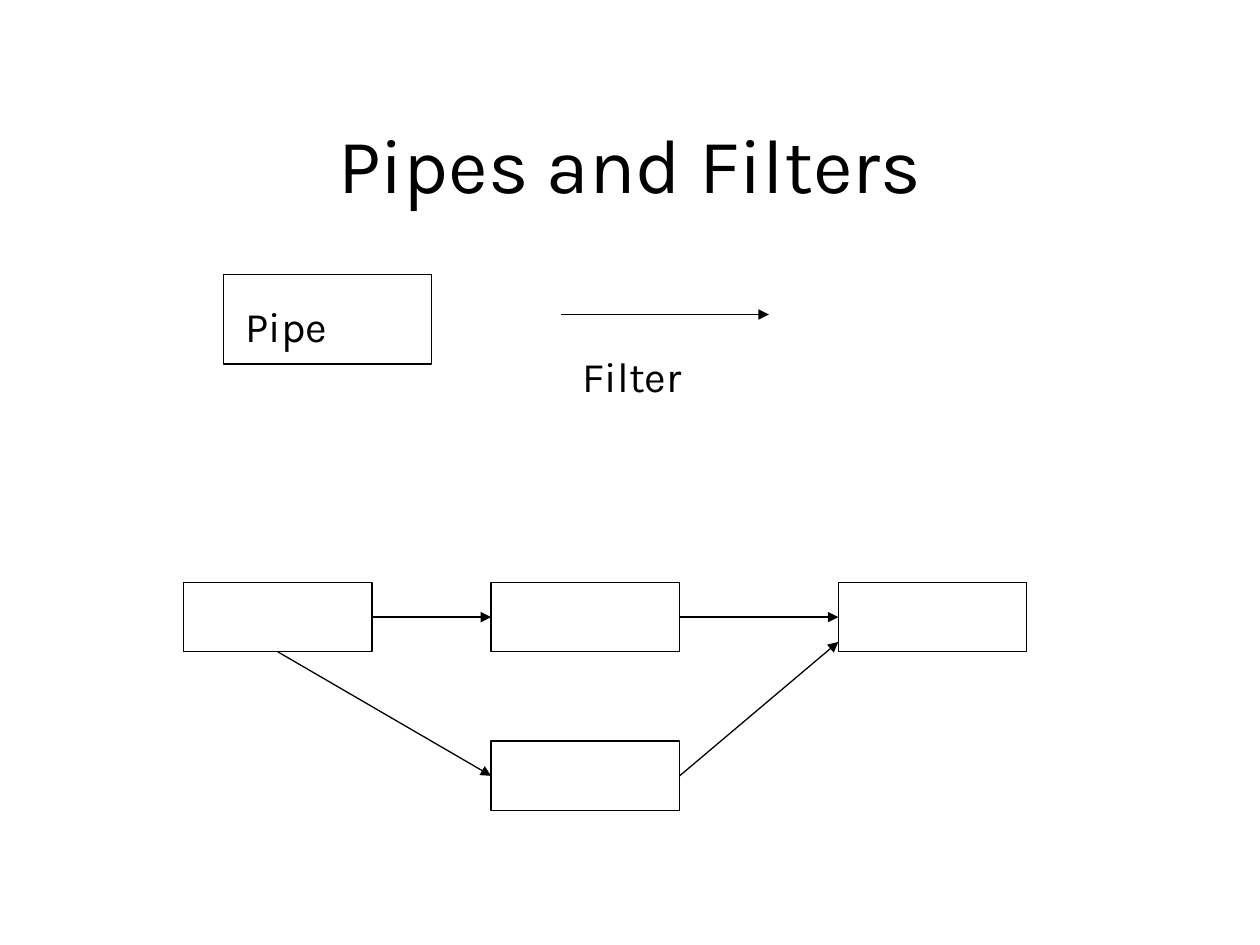
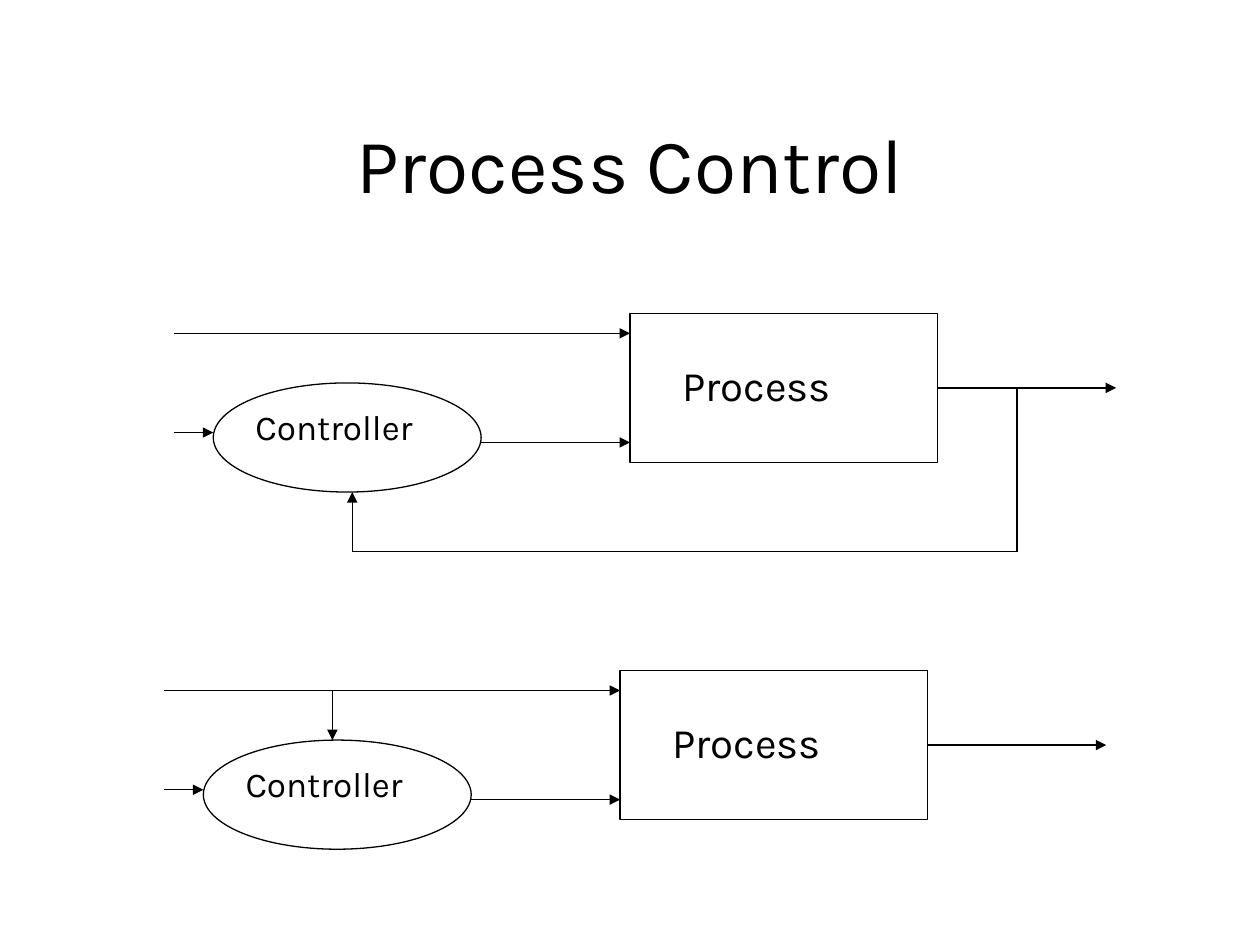
"""Build two architecture-style slides: pipes and filters, and process control."""
import dataclasses
import typing

import pptx
import pptx.dml.color
import pptx.enum.shapes
import pptx.enum.text
import pptx.oxml.ns
import pptx.util
from lxml import etree

RECT = pptx.enum.shapes.MSO_SHAPE.RECTANGLE
OVAL = pptx.enum.shapes.MSO_SHAPE.OVAL
ALIGN = pptx.enum.text.PP_ALIGN
ANCHOR = pptx.enum.text.MSO_ANCHOR
LEFT, BOTTOM, RIGHT = 1, 2, 3
COLUMNS = 127
SLIDE_W, SLIDE_H = pptx.util.Inches(10), pptx.util.Inches(7.5)


@dataclasses.dataclass(frozen=True)
class Theme:
    """Colours, font and sizes shared by the slides."""
    ink: pptx.dml.color.RGBColor = pptx.dml.color.RGBColor(0, 0, 0)
    font: str = "Karla"
    title: float = 44
    label: float = 24
    small: float = 20
    line: float = 0.75


THEME = Theme()


@dataclasses.dataclass
class Region:
    """A shape collection whose parts are placed from a grid origin."""
    shapes: typing.Any
    col: float
    row: float

    def at(self, col, row):
        """Return the slide position of a point of the region."""
        return cells(self.col + col), cells(self.row + row)


def cells(n):
    """Convert square grid cells to a length."""
    return round(n * SLIDE_W / COLUMNS)


def group(s, col, row):
    """Start a grouped region at a grid point."""
    return Region(s.shapes.add_group_shape().shapes, col, row)


def add_text(region, text, box, size=THEME.label, align=ALIGN.LEFT, anchor=ANCHOR.TOP):
    """Add a text box with one formatted run."""
    col, row, w, h = box
    tf = region.shapes.add_textbox(*region.at(col, row), cells(w), cells(h)).text_frame
    tf.word_wrap = True
    tf.vertical_anchor = anchor
    p = tf.paragraphs[0]
    p.alignment = align
    r = p.add_run()
    r.text = text
    r.font.name = THEME.font
    r.font.size = pptx.util.Pt(size)
    r.font.color.rgb = THEME.ink


def set_line(shape):
    """Give a shape or connector the thin theme outline."""
    shape.line.color.rgb = THEME.ink
    shape.line.width = pptx.util.Pt(THEME.line)


def add_outline(region, kind, box):
    """Add an unfilled outlined shape."""
    col, row, w, h = box
    sp = region.shapes.add_shape(kind, *region.at(col, row), cells(w), cells(h))
    sp.shadow.inherit = False
    sp.fill.background()
    set_line(sp)
    return sp


def add_line(region, start, end, head=True, source=None, target=None):
    """Add a line, with an arrowhead and joins to (shape, side) pairs if given."""
    cxn = region.shapes.add_connector(
        pptx.enum.shapes.MSO_CONNECTOR.STRAIGHT, *region.at(*start), *region.at(*end))
    set_line(cxn)
    if head:
        ln = cxn.line._get_or_add_ln()
        etree.SubElement(ln, pptx.oxml.ns.qn("a:tailEnd"), type="triangle")
    etree.SubElement(cxn._element.spPr, pptx.oxml.ns.qn("a:effectLst"))
    if source:
        cxn.begin_connect(*source)
    if target:
        cxn.end_connect(*target)


def new_slide(prs, title):
    """Add a blank slide with the shared title."""
    s = prs.slides.add_slide(prs.slide_layouts[6])
    add_text(Region(s.shapes, 9.5, 8.5), title, (0, 0, 108, 15.9), size=THEME.title,
             align=ALIGN.CENTER, anchor=ANCHOR.MIDDLE)
    return s


def draw_pipe_key(region):
    """Draw the boxed key entry."""
    add_outline(region, RECT, (0, 0, 21, 9))
    add_text(region, "Pipe", (1, 2, 19, 6.3))


def draw_filter_key(region):
    """Draw the arrow key entry."""
    add_line(region, (0, 0), (21, 0))
    add_text(region, "Filter", (1, 3, 21, 6.3))


def draw_network(region):
    """Draw four boxes joined by two routes."""
    w, h = 19, 7
    first, upper, last, lower = [
        add_outline(region, RECT, (col, row, w, h))
        for col, row in ((0, 0), (31, 0), (66, 0), (31, 16))]
    mid = h / 2
    add_line(region, (w, mid), (31, mid), source=(first, RIGHT), target=(upper, LEFT))
    add_line(region, (31 + w, mid), (66, mid), source=(upper, RIGHT), target=(last, LEFT))
    add_line(region, (w / 2, h), (31, 16 + mid), source=(first, BOTTOM), target=(lower, LEFT))
    add_line(region, (31 + w, 16 + mid), (66, 6), source=(lower, RIGHT))


def draw_control(region):
    """Draw a controller feeding a process, with inputs and output."""
    add_outline(region, OVAL, (4, 7, 27, 11))
    add_text(region, "Controller", (7, 8.6, 22, 5.6), size=THEME.small)
    process = add_outline(region, RECT, (46, 0, 31, 15))
    add_text(region, "Process", (50, 4, 26, 6.3))
    add_line(region, (31, 13), (46, 13))
    add_line(region, (0, 2), (46, 2))
    add_line(region, (77, 7.5), (95, 7.5), source=(process, RIGHT))
    add_line(region, (0, 12), (4, 12))


def draw_feedback(region):
    """Draw a control loop returning the output to the controller."""
    draw_control(region)
    add_line(region, (85, 7.5), (85, 24), head=False)
    add_line(region, (85, 24), (18, 24), head=False)
    add_line(region, (18, 24), (18, 18))


def draw_feedforward(region):
    """Draw a control loop passing the input to the controller."""
    draw_control(region)
    add_line(region, (17, 2), (17, 7))


def pipes_slide(prs):
    """Build the pipes and filters slide."""
    s = new_slide(prs, "Pipes and Filters")
    draw_pipe_key(group(s, 22.5, 27.7))
    draw_filter_key(group(s, 56.5, 31.7))
    draw_network(Region(s.shapes, 18.5, 58.7))


def control_slide(prs):
    """Build the process control slide."""
    s = new_slide(prs, "Process Control")
    draw_feedback(group(s, 17.5, 31.6))
    draw_feedforward(group(s, 16.5, 67.6))


def main():
    """Build and save the slides."""
    prs = pptx.Presentation()
    prs.slide_width, prs.slide_height = SLIDE_W, SLIDE_H
    pipes_slide(prs)
    control_slide(prs)
    prs.save("out.pptx")


if __name__ == "__main__":
    main()
